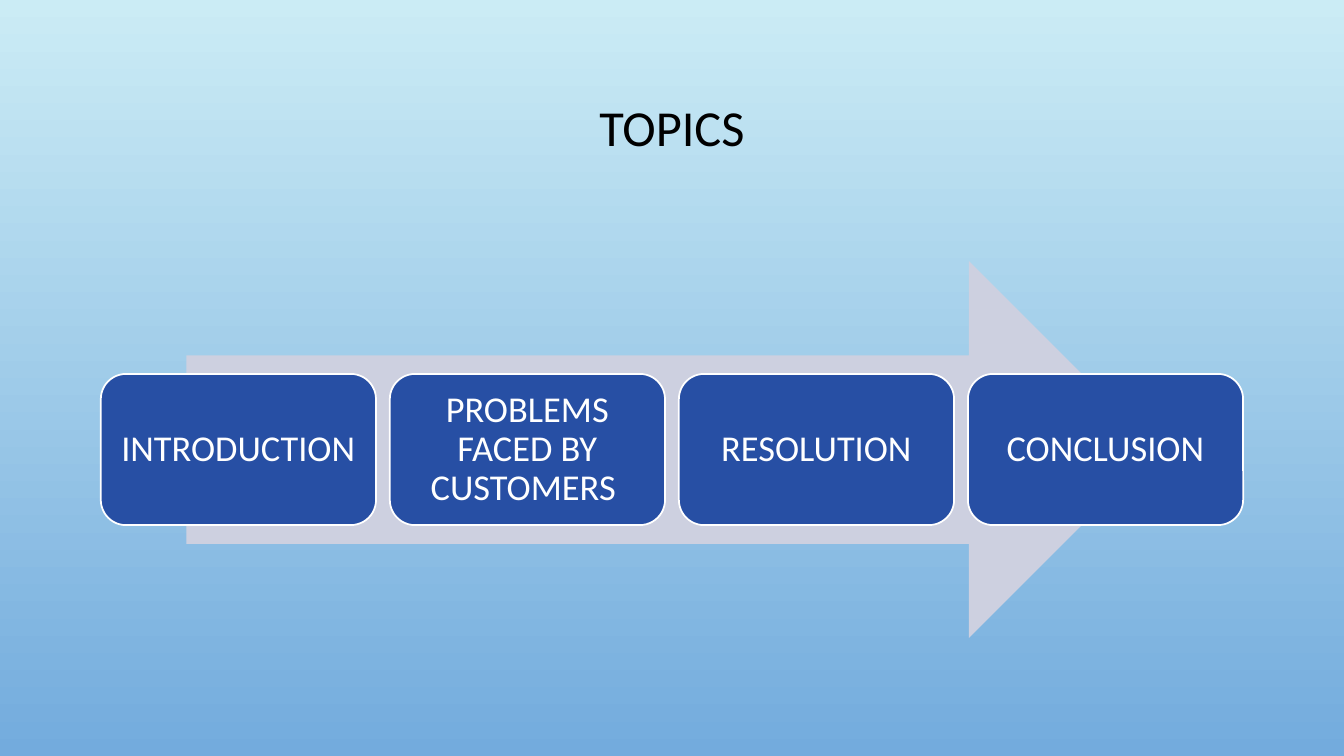
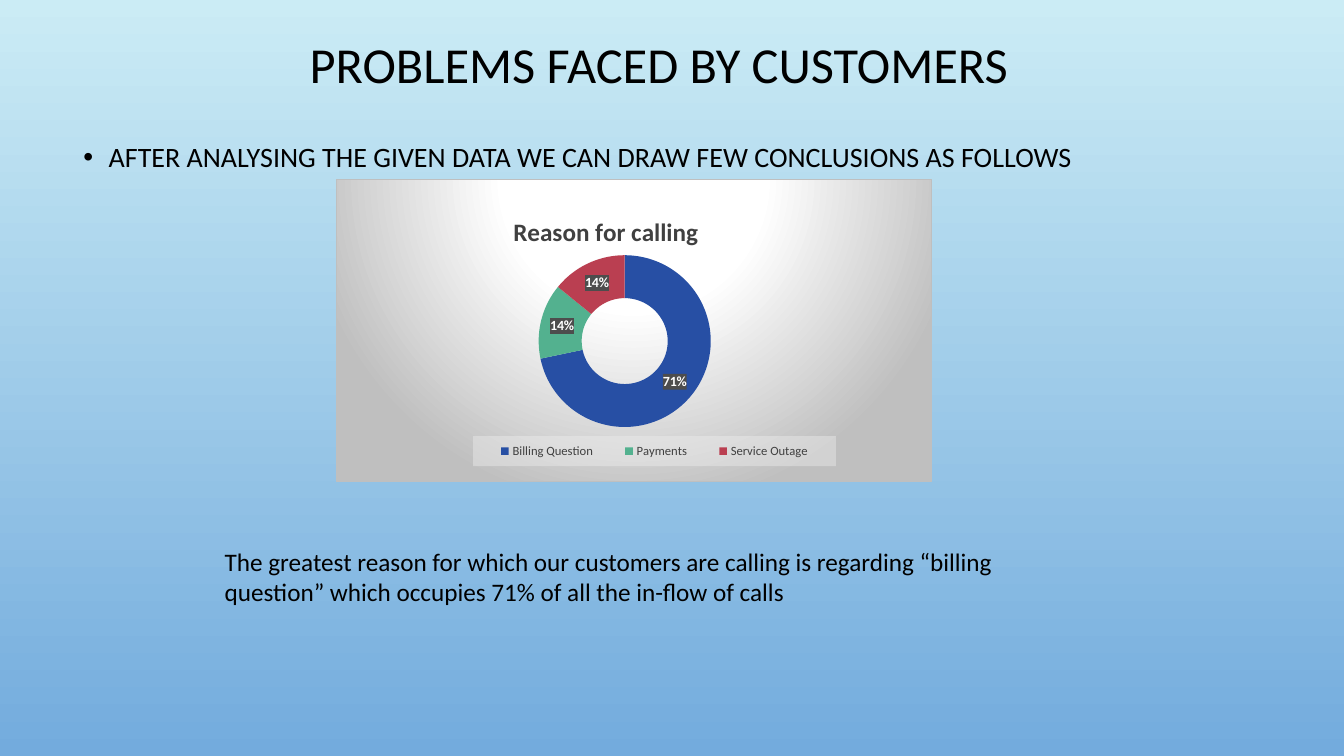
from dataclasses import dataclass

from lxml import etree
from pptx import Presentation
from pptx.chart.chart import Chart
from pptx.chart.data import CategoryChartData
from pptx.dml.color import RGBColor
from pptx.enum.chart import XL_CHART_TYPE as ChartType, XL_LEGEND_POSITION as LegendPosition
from pptx.enum.shapes import MSO_SHAPE as Preset
from pptx.enum.text import MSO_ANCHOR as Anchor, PP_ALIGN as Align
from pptx.oxml import parse_xml
from pptx.oxml.ns import qn
from pptx.presentation import Presentation as Deck
from pptx.slide import Slide
from pptx.text.text import Font, TextFrame
from pptx.util import Inches, Pt

FONT = "Calibri"
BLACK, WHITE, BLUE = "000000", "FFFFFF", "274FA4"
SKY_TOP, SKY_BOTTOM, ARROW = "CBECF5", "73ABDD", "CDD0E0"
DARK_GREY, LABEL_GREY, EDGE_GREY = "404040", "4D4D4D", "BFBFBF"
NAMESPACES = (
    'xmlns:a="http://schemas.openxmlformats.org/drawingml/2006/main" '
    'xmlns:c="http://schemas.openxmlformats.org/drawingml/2006/chart"'
)


@dataclass(frozen=True)
class Area:
    left: float
    top: float
    width: float
    height: float

    def lengths(self) -> tuple:
        return tuple(Inches(v) for v in (self.left, self.top, self.width, self.height))


@dataclass(frozen=True)
class Style:
    size: float
    color: str = BLACK
    bold: bool = False
    align: Align = Align.LEFT
    anchor: Anchor = Anchor.TOP
    spacing: float = 1.0


@dataclass(frozen=True)
class Reason:
    name: str
    percent: int
    color: str


TITLE = Style(36, align=Align.CENTER, anchor=Anchor.MIDDLE, spacing=0.9)
CARD = Style(26, WHITE, align=Align.CENTER, anchor=Anchor.MIDDLE, spacing=0.9)
TOPICS = ("INTRODUCTION", "PROBLEMS FACED BY CUSTOMERS ", "RESOLUTION", "CONCLUSION")
REASONS = (
    Reason("Billing Question", 71, BLUE),
    Reason("Payments", 14, "53B18F"),
    Reason("Service Outage", 14, "BA3F51"),
)


def rgb(color: str) -> RGBColor:
    return RGBColor.from_string(color)


def style_font(font: Font, style: Style) -> None:
    font.name, font.size, font.bold = FONT, Pt(style.size), style.bold
    font.color.rgb = rgb(style.color)


def write(frame: TextFrame, text: str, style: Style):
    frame.word_wrap = True
    frame.vertical_anchor = style.anchor
    para = frame.paragraphs[0]
    para.alignment, para.line_spacing = style.align, style.spacing
    span = para.add_run()
    span.text = text
    style_font(span.font, style)
    return para


def add_text(page: Slide, area: Area, text: str, style: Style):
    return write(page.shapes.add_textbox(*area.lengths()).text_frame, text, style)


def add_preset(page: Slide, preset: Preset, area: Area, fill: str, line: str = ""):
    shape = page.shapes.add_shape(preset, *area.lengths())
    shape.shadow.inherit = False
    shape.fill.solid()
    shape.fill.fore_color.rgb = rgb(fill)
    if line:
        shape.line.color.rgb = rgb(line)
        shape.line.width = Pt(1.25)
    else:
        shape.line.fill.background()
    return shape


def add_page(deck: Deck, title: str, title_area: Area) -> Slide:
    """Add a slide with the shared sky gradient and title style."""
    page = deck.slides.add_slide(deck.slide_layouts[6])
    fill = page.background.fill
    fill.gradient()
    fill.gradient_angle = 270
    for stop, color in zip(fill.gradient_stops, (SKY_TOP, SKY_BOTTOM)):
        stop.color.rgb = rgb(color)
    add_text(page, title_area, title, TITLE)
    return page


def add_bullet(para) -> None:
    props = para._p.get_or_add_pPr()
    props.set("marL", str(Inches(0.25)))
    props.set("indent", str(Inches(-0.25)))
    color = etree.SubElement(props, qn("a:buClr"))
    etree.SubElement(color, qn("a:srgbClr"), val=BLACK)
    etree.SubElement(props, qn("a:buFont"), typeface="Arial")
    etree.SubElement(props, qn("a:buChar"), char="•")


def solid(color: str, opacity: int = 100) -> str:
    return (f'<a:solidFill><a:srgbClr val="{color}"><a:alpha val="{opacity * 1000}"/>'
            "</a:srgbClr></a:solidFill>")


def chart_fill(content: str):
    return parse_xml(f"<c:spPr {NAMESPACES}>{content}</c:spPr>")


def place(parent, index: int, inner: bool = False, **fractions: float) -> None:
    """Give a chart part a manual layout, in fractions of the chart."""
    for old in parent.findall(qn("c:layout")):
        parent.remove(old)
    target = '<c:layoutTarget val="inner"/>' if inner else ""
    modes = "".join(f'<c:{key}Mode val="edge"/>' for key in fractions if key in "xy")
    values = "".join(f'<c:{key} val="{value}"/>' for key, value in fractions.items())
    parent.insert(index, parse_xml(
        f"<c:layout {NAMESPACES}><c:manualLayout>{target}{modes}{values}"
        "</c:manualLayout></c:layout>"))


def style_chart_area(chart: Chart) -> None:
    stops = "".join(
        f'<a:gs pos="{position * 1000}"><a:srgbClr val="{color}"/></a:gs>'
        for position, color in ((0, WHITE), (39, WHITE), (100, EDGE_GREY)))
    chart._chartSpace.find(qn("c:chart")).addnext(chart_fill(
        f'<a:gradFill><a:gsLst>{stops}</a:gsLst><a:path path="circle">'
        '<a:fillToRect l="50000" t="-80000" r="50000" b="180000"/></a:path></a:gradFill>'
        f'<a:ln w="{Pt(0.75)}">{solid(EDGE_GREY)}</a:ln>'))


def style_labels(chart: Chart) -> None:
    plot = chart.plots[0]
    plot.vary_by_categories = True
    plot.has_data_labels = True
    labels = plot.data_labels
    labels.show_percentage, labels.show_value = False, True
    labels.number_format, labels.number_format_is_linked = '0"%"', False
    style_font(labels.font, Style(10, WHITE, bold=True))
    labels._element.find(qn("c:numFmt")).addnext(chart_fill(solid(LABEL_GREY)))


def style_legend(chart: Chart) -> None:
    chart.has_legend = True
    legend = chart.legend
    legend.position = LegendPosition.RIGHT
    legend.include_in_layout = False
    style_font(legend.font, Style(9, DARK_GREY))
    place(legend._element, 1, x=0.23, y=0.85, w=0.61, h=0.1)
    legend._element.find(qn("c:overlay")).addnext(chart_fill(solid("F2F2F2", 39)))


def add_reason_chart(page: Slide, area: Area) -> None:
    data = CategoryChartData()
    data.categories = [reason.name for reason in REASONS]
    data.add_series("Series 1", [reason.percent for reason in REASONS])
    chart = page.shapes.add_chart(ChartType.DOUGHNUT, *area.lengths(), data).chart
    style_font(chart.font, Style(10))
    style_chart_area(chart)

    chart.has_title = True
    write(chart.chart_title.text_frame, "Reason for calling",
          Style(18, DARK_GREY, bold=True, align=Align.CENTER))
    place(chart.chart_title._element, 1, x=0.29, y=0.1)
    place(chart._chartSpace.chart.plotArea, 0, inner=True, x=0.31, y=0.25, w=0.35, h=0.57)

    for index, reason in enumerate(REASONS):
        fill = chart.plots[0].series[0].points[index].format.fill
        fill.solid()
        fill.fore_color.rgb = rgb(reason.color)
    style_labels(chart)
    style_legend(chart)


def add_topics_page(deck: Deck) -> None:
    page = add_page(deck, "TOPICS", Area(1, 0.68, 11.33, 1.22))
    add_preset(page, Preset.RIGHT_ARROW, Area(1.85, 2.59, 9.63, 3.74), ARROW)
    left, span_width, width = 1, 11.33, 2.73
    step = (span_width - width) / (len(TOPICS) - 1)
    for index, topic in enumerate(TOPICS):
        area = Area(left + index * step, 3.71, width, 1.5)
        frame = add_preset(page, Preset.ROUNDED_RECTANGLE, area, BLUE, WHITE).text_frame
        frame.margin_left = frame.margin_right = Inches(0.11)
        frame.margin_top = frame.margin_bottom = Inches(0.11)
        write(frame, topic, CARD)


def add_problems_page(deck: Deck) -> None:
    page = add_page(deck, "PROBLEMS FACED BY CUSTOMERS", Area(0.87, 0.17, 11.33, 1))
    finding = add_text(
        page, Area(0.73, 1.27, 11.33, 3.74),
        "AFTER ANALYSING THE GIVEN DATA WE CAN DRAW FEW CONCLUSIONS AS FOLLOWS",
        Style(20, spacing=1.2))
    finding.space_before = Pt(10)
    add_bullet(finding)
    add_reason_chart(page, Area(3.33, 1.78, 5.91, 3))
    add_text(
        page, Area(2.13, 5.37, 8.82, 0.71),
        "The greatest reason for which our customers are calling is regarding “billing "
        "question” which occupies 71% of all the in-flow of calls",
        Style(18))


def main() -> None:
    deck = Presentation()
    deck.slide_width, deck.slide_height = Inches(13.33), Inches(7.5)
    add_topics_page(deck)
    add_problems_page(deck)
    deck.save("out.pptx")


if __name__ == "__main__":
    main()
